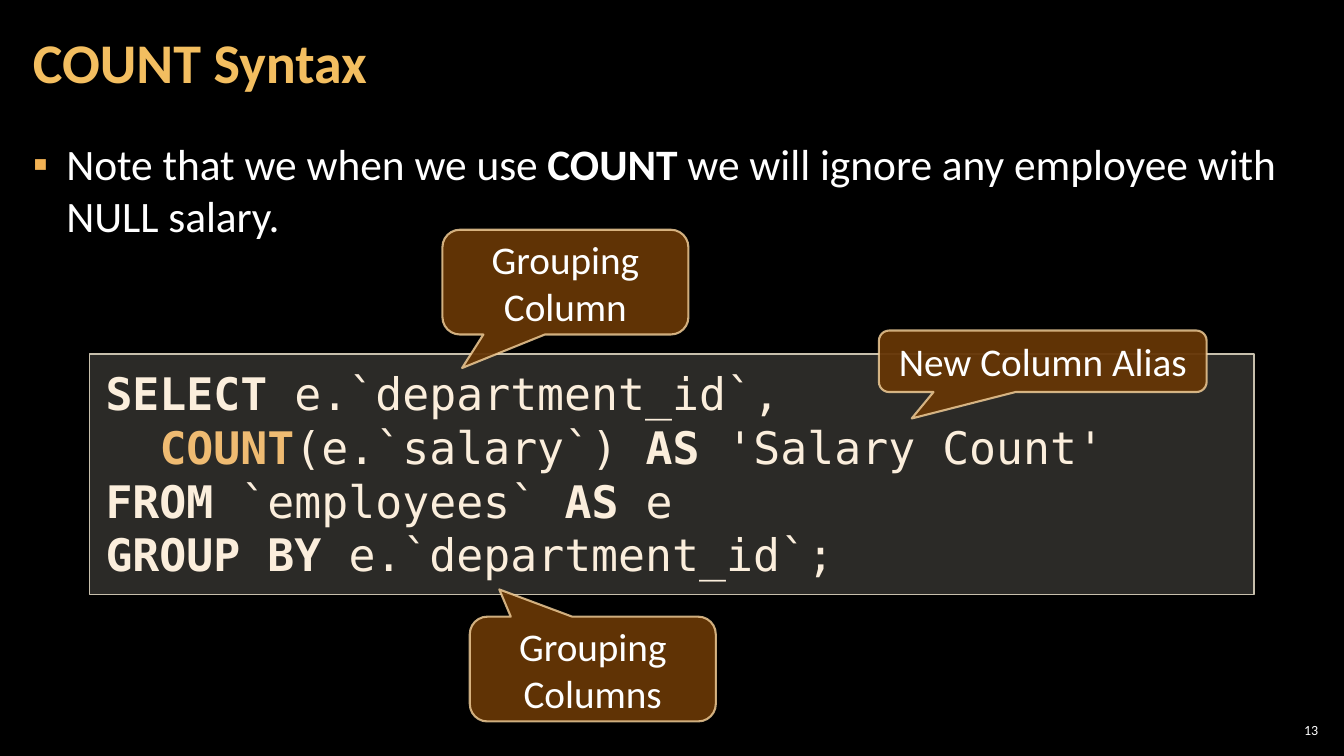
"""Build the COUNT Syntax slide."""
from lxml import etree
from pptx import Presentation
from pptx import util as u
from pptx.dml.color import RGBColor
from pptx.enum import shapes, text
from pptx.oxml.ns import qn

BLACK = RGBColor(0x00, 0x00, 0x00)
WHITE = RGBColor(0xFF, 0xFF, 0xFF)
GOLD = RGBColor(0xF3, 0xBE, 0x60)
BULLET = RGBColor(0xF2, 0xB2, 0x54)
PANEL = RGBColor(0xD9, 0xD5, 0xC7)
PANEL_EDGE = RGBColor(0xC7, 0xBF, 0xAC)
CODE = RGBColor(0xFB, 0xEE, 0xDC)
KEYWORD = RGBColor(0xEF, 0xBB, 0x72)
BROWN = RGBColor(0x66, 0x36, 0x06)
CALLOUT_EDGE = RGBColor(0xF8, 0xD4, 0x9E)


def set_frame(box, anchor, side, top):
    frame = box.text_frame
    frame.word_wrap = True
    frame.auto_size = text.MSO_AUTO_SIZE.NONE
    frame.vertical_anchor = anchor
    frame.margin_left = frame.margin_right = u.Cm(side)
    frame.margin_top = frame.margin_bottom = u.Cm(top)
    return frame


def paint(part, color, opacity):
    part.solid()
    part.fore_color.rgb = color
    tint = part._xPr.find(qn("a:solidFill"))[0]
    etree.SubElement(tint, qn("a:alpha"), val=str(opacity * 1000))


deck = Presentation()
deck.slide_width, deck.slide_height = u.Cm(33.87), u.Cm(19.05)
page = deck.slides.add_slide(deck.slide_layouts[1])
page.background.fill.solid()
page.background.fill.fore_color.rgb = BLACK

title, body = page.placeholders
title.left, title.top, title.width, title.height = u.Cm(0.53), u.Cm(0.1), u.Cm(26.6), u.Cm(3.07)
frame = set_frame(title, text.MSO_ANCHOR.MIDDLE, 0.3, 0.1)
frame.text = "COUNT Syntax"
para = frame.paragraphs[0]
para.alignment = text.PP_ALIGN.LEFT
para.line_spacing = 0.9
para.font.name, para.font.size, para.font.bold = "Calibri", u.Pt(40), True
para.font.color.rgb = GOLD

body.left, body.top, body.width, body.height = u.Cm(0.53), u.Cm(3.15), u.Cm(32.8), u.Cm(15.47)
para = set_frame(body, text.MSO_ANCHOR.TOP, 0.3, 0.1).paragraphs[0]
for words, bold in [
    ("Note that we when we use ", False),
    ("COUNT", True),
    (" we will ignore any employee with NULL salary.", False),
]:
    span = para.add_run()
    span.text, span.font.bold = words, bold
indent = u.Cm(0.84)
props = para._p.get_or_add_pPr()
props.set("marL", str(indent))
props.set("indent", str(-indent))
bullet_color = etree.SubElement(props, qn("a:buClr"))
etree.SubElement(bullet_color, qn("a:srgbClr"), val=str(BULLET))
etree.SubElement(props, qn("a:buChar"), char="▪")
para.space_before, para.space_after = u.Pt(0), u.Pt(6)
para.font.name, para.font.size = "Calibri", u.Pt(31)
para.font.color.rgb = WHITE
body.text_frame.margin_top = u.Cm(0.31)

panel = page.shapes.add_shape(
    shapes.MSO_SHAPE.RECTANGLE, u.Cm(2.26), u.Cm(8.92), u.Cm(29.34), u.Cm(6.07))
panel.shadow.inherit = False
paint(panel.fill, PANEL, 20)
panel.line.color.rgb = PANEL_EDGE
panel.line.width = u.Pt(1)
frame = set_frame(panel, text.MSO_ANCHOR.TOP, 0.4, 0.3)
code_lines = [
    [("SELECT", True, CODE), (" e.`department_id`,", False, CODE)],
    [("  ", True, CODE), ("COUNT", True, KEYWORD), ("(e.`salary`) ", False, CODE),
     ("AS ", True, CODE), ("'Salary Count'", False, CODE)],
    [("FROM ", True, CODE), ("`employees` ", False, CODE), ("AS", True, CODE), (" e", False, CODE)],
    [("GROUP BY ", True, CODE), ("e.`department_id`;", False, CODE)],
]
for row, parts in enumerate(code_lines):
    para = frame.add_paragraph() if row else frame.paragraphs[0]
    para.alignment = text.PP_ALIGN.LEFT
    para.font.name, para.font.size = "DejaVu Sans Mono", u.Pt(32)
    for words, bold, color in parts:
        span = para.add_run()
        span.text, span.font.bold = words, bold
        span.font.color.rgb = color

number = page.shapes.add_textbox(u.Cm(32.13), u.Cm(18.14), u.Cm(1.19), u.Cm(0.53))
frame = set_frame(number, text.MSO_ANCHOR.MIDDLE, 0.1, 0.1)
frame.text = "13"
para = frame.paragraphs[0]
para.alignment = text.PP_ALIGN.RIGHT
para.font.name, para.font.size = "Calibri", u.Pt(10)
para.font.color.rgb = WHITE

for label, left, top, width, height, tip_x, tip_y in [
    ("Grouping Column", 11.15, 5.79, 6.2, 2.64, -0.42, 0.82),
    ("Grouping Columns", 11.84, 15.54, 6.2, 2.64, -0.38, -0.76),
    ("New Column Alias", 22.15, 8.33, 8.26, 1.55, -0.4, 0.93),
]:
    callout = page.shapes.add_shape(
        shapes.MSO_SHAPE.ROUNDED_RECTANGULAR_CALLOUT,
        u.Cm(left), u.Cm(top), u.Cm(width), u.Cm(height))
    callout.adjustments[0], callout.adjustments[1] = tip_x, tip_y
    callout.shadow.inherit = False
    paint(callout.fill, BROWN, 95)
    paint(callout.line.fill, CALLOUT_EDGE, 80)
    callout.line.width = u.Pt(1.5)
    frame = set_frame(callout, text.MSO_ANCHOR.MIDDLE, 0.25, 0.13)
    frame.text = label
    para = frame.paragraphs[0]
    para.alignment = text.PP_ALIGN.CENTER
    para.font.name, para.font.size = "Calibri", u.Pt(28)
    para.font.color.rgb = WHITE

deck.save("out.pptx")
